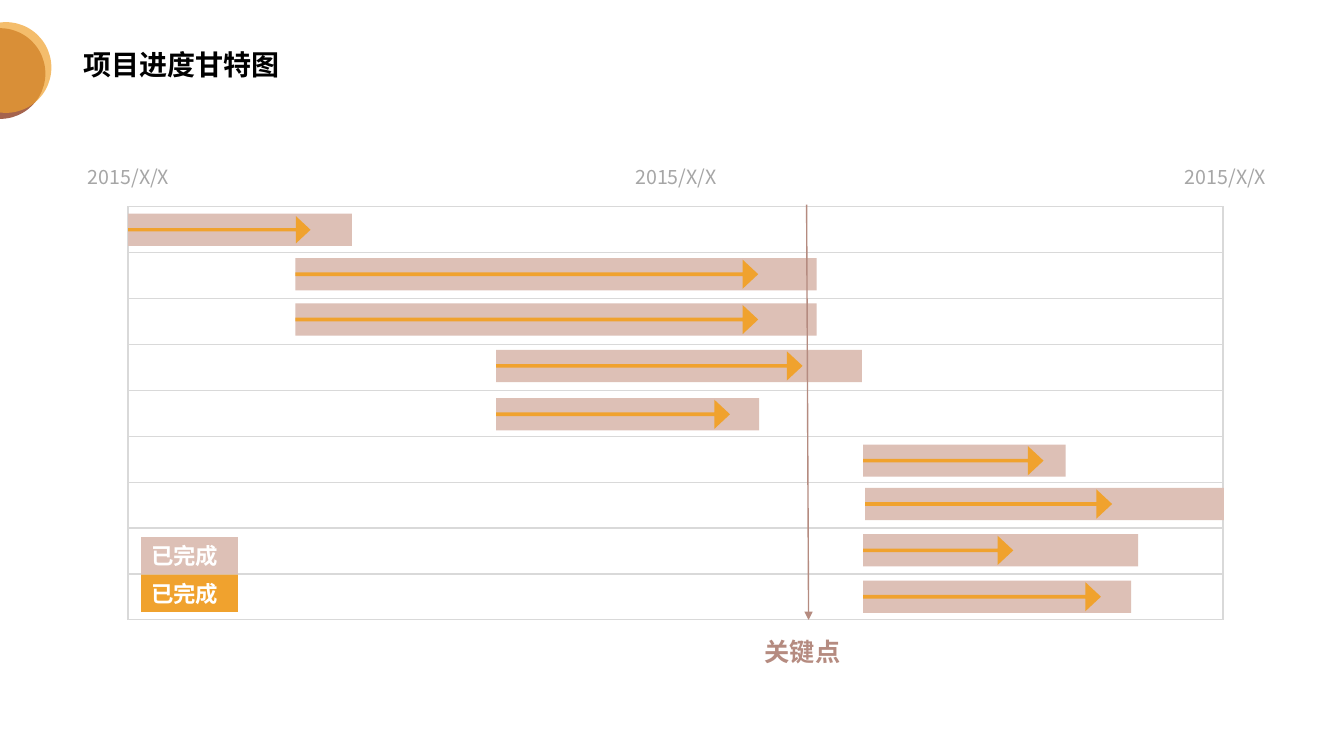
from lxml import etree
from pptx import Presentation
from pptx.dml.color import RGBColor
from pptx.enum.shapes import MSO_CONNECTOR, MSO_SHAPE
from pptx.enum.text import MSO_ANCHOR, PP_ALIGN
from pptx.oxml.ns import qn
from pptx.util import Inches, Pt

RECTANGLE = MSO_SHAPE.RECTANGLE
OVAL = MSO_SHAPE.OVAL
RIGHT_ARROW = MSO_SHAPE.RIGHT_ARROW
STRAIGHT = MSO_CONNECTOR.STRAIGHT
LEFT, CENTER = PP_ALIGN.LEFT, PP_ALIGN.CENTER
TOP, MIDDLE = MSO_ANCHOR.TOP, MSO_ANCHOR.MIDDLE

ORANGE, ROSE, BROWN, MAUVE = "F0A22E", "DDC0B6", "A5644E", "B58B80"
BLACK, WHITE, GRAY, GRID = "000000", "FFFFFF", "A6A6A6", "D9D9D9"


def color(value):
    return RGBColor.from_string(value)


class SlideBuilder:
    font_name = "Noto Sans CJK SC"

    def __init__(self, slide):
        self.shapes = slide.shapes

    def label(self, shape, text, size, hue, bold=False, align=LEFT, anchor=TOP):
        frame = shape.text_frame
        frame.word_wrap = True
        frame.vertical_anchor = anchor
        para = frame.paragraphs[0]
        para.text = text
        para.alignment = align
        font = para.font
        font.size, font.bold, font.name = Pt(size), bold, self.font_name
        font.color.rgb = color(hue)
        east_asian = etree.SubElement(font._element, qn("a:ea"))
        east_asian.set("typeface", self.font_name)
        return para

    def text(self, left, top, width, height, text, size, hue, **style):
        box = self.shapes.add_textbox(Inches(left), Inches(top), Inches(width), Inches(height))
        return self.label(box, text, size, hue, **style)

    def shape(self, kind, left, top, width, height, fill, alpha=None):
        shape = self.shapes.add_shape(kind, Inches(left), Inches(top), Inches(width), Inches(height))
        shape.shadow.inherit = False
        shape.fill.solid()
        shape.fill.fore_color.rgb = color(fill)
        shape.line.fill.background()
        if alpha is not None:
            hue = shape._element.spPr.find(".//" + qn("a:srgbClr"))
            etree.SubElement(hue, qn("a:alpha")).set("val", str(alpha * 1000))
        return shape

    def arrow(self, left, top, width, height, fill):
        arrow = self.shape(RIGHT_ARROW, left, top, width, height, fill)
        arrow.adjustments[0] = 0.126
        arrow.adjustments[1] = 0.535

    def grid(self, left, top, width, height, rows, border):
        table = self.shapes.add_table(
            rows, 1, Inches(left), Inches(top), Inches(width), Inches(height)).table
        table.first_row = table.horz_banding = False
        for cell in table.iter_cells():
            properties = cell._tc.get_or_add_tcPr()
            for side in ("a:lnL", "a:lnR", "a:lnT", "a:lnB"):
                line = etree.SubElement(properties, qn(side), w=str(Pt(1)))
                fill = etree.SubElement(line, qn("a:solidFill"))
                etree.SubElement(fill, qn("a:srgbClr"), val=border)
            cell.fill.background()

    def pointer(self, start, end, hue):
        line = self.shapes.add_connector(STRAIGHT, *map(Inches, start + end))
        line.line.color.rgb = color(hue)
        line.line.width = Pt(1)
        etree.SubElement(line.line._get_or_add_ln(), qn("a:tailEnd"), type="triangle")
        etree.SubElement(line._element.spPr, qn("a:effectLst"))


deck = Presentation()
deck.slide_width, deck.slide_height = Inches(13.33), Inches(7.5)
page = SlideBuilder(deck.slides.add_slide(deck.slide_layouts[6]))

page.shape(OVAL, -0.45, 0.28, 0.9, 0.9, BROWN)
page.shape(OVAL, -0.39, 0.22, 0.9, 0.9, ORANGE, alpha=70)
title = page.text(0.73, 0.37, 4.88, 0.58, "项目进度甘特图", 20, BLACK, bold=True, anchor=MIDDLE)
title.line_spacing = 0.9
title.space_before = Pt(10)

page.grid(1.27, 2.05, 10.86, 4.1, 9, GRID)
for date_left in (0.45, 5.88, 11.33):
    page.text(date_left, 1.59, 1.65, 0.34, "2015/X/X", 14, GRAY, align=CENTER)

BAR_HEIGHT = 0.32
tasks = [
    (1.27, 2.12, 2.22, 1.81, 0.27),
    (2.93, 2.56, 5.17, 4.59, 0.29),
    (2.93, 3.01, 5.17, 4.59, 0.29),
    (4.92, 3.47, 3.63, 3.04, 0.29),
    (4.92, 3.95, 2.61, 2.32, 0.29),
    (8.56, 4.41, 2.01, 1.79, 0.29),
    (8.58, 4.84, 3.56, 2.45, 0.29),
    (8.56, 5.3, 2.73, 1.49, 0.29),
    (8.56, 5.76, 2.66, 2.36, 0.29),
]
for left, top, planned, done, arrow_height in tasks:
    page.shape(RECTANGLE, left, top, planned, BAR_HEIGHT, ROSE)
    page.arrow(left, top + (BAR_HEIGHT - arrow_height) / 2, done, arrow_height, ORANGE)

LEGEND_HEIGHT = 0.37
for index, fill in enumerate((ROSE, ORANGE)):
    legend = page.shape(RECTANGLE, 1.4, 5.33 + index * LEGEND_HEIGHT, 0.96, LEGEND_HEIGHT, fill)
    page.label(legend, "已完成", 16, WHITE, bold=True, anchor=MIDDLE)

page.pointer((8, 2.03), (8.02, 6.15), MAUVE)
page.text(7.35, 6.26, 1.22, 0.4, "关键点", 18, MAUVE, bold=True, align=CENTER)

deck.save("out.pptx")
